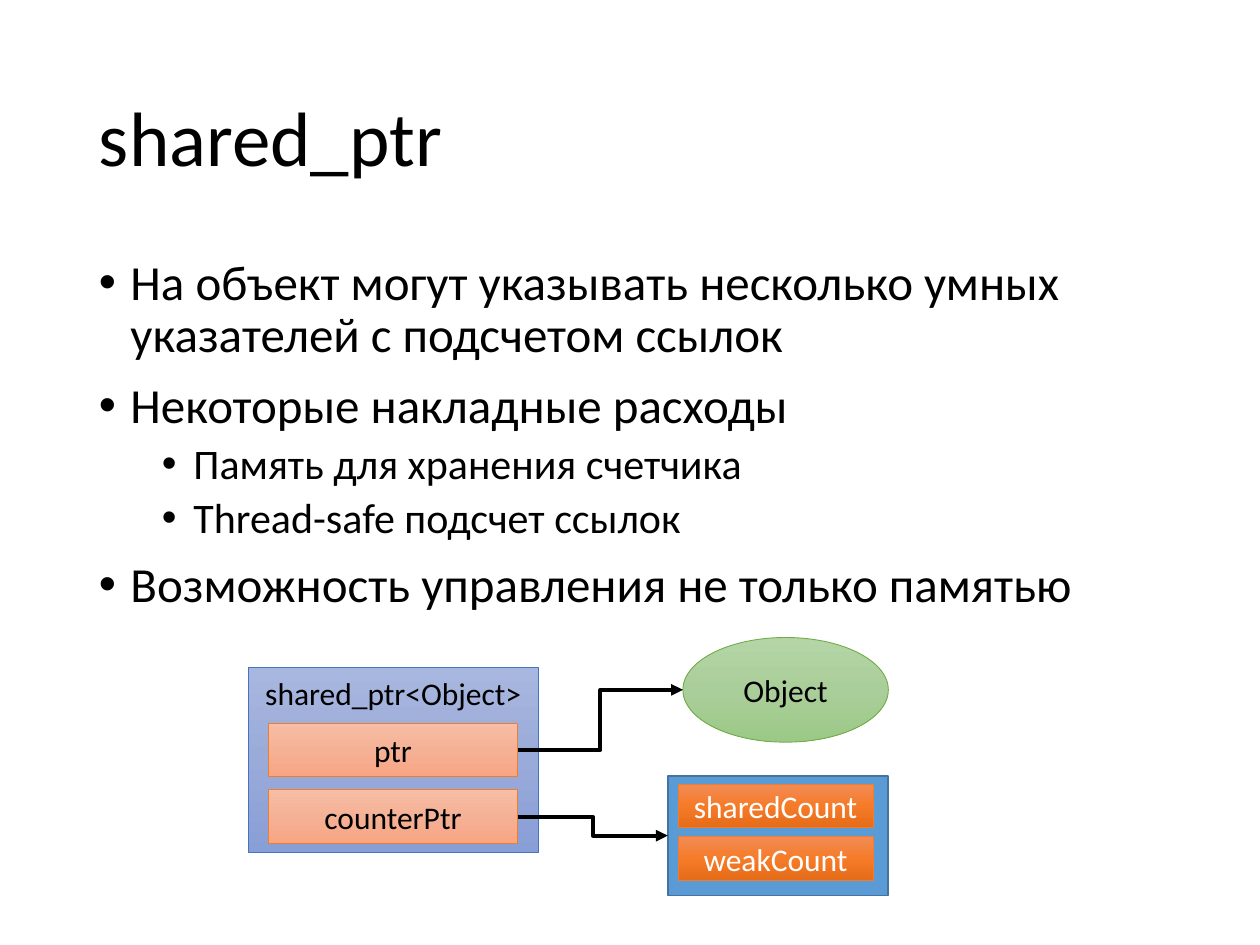
from copy import deepcopy
from pptx import Presentation
from pptx.dml.color import RGBColor
from pptx.enum.shapes import MSO_CONNECTOR, MSO_SHAPE
from pptx.enum.text import MSO_ANCHOR, PP_ALIGN
from pptx.oxml.ns import qn
from pptx.util import Pt
from lxml import etree

FONT = "Calibri"
COLORS = {
    "black": "000000", "white": "FFFFFF",
    "green": ["B5D5A7", "AACE9A", "9CC987"], "green_line": "70AD47",
    "indigo": ["A8B7DF", "9AABD9", "889ED7"], "indigo_line": "4472C4",
    "peach": ["F7BDA5", "F5B196", "F8A582"],
    "orange": ["F18C57", "F67B28", "E56C19"], "orange_line": "ED7D31",
    "blue": ["5B9BD5"], "blue_line": "43739E",
}


def add_run(p, text, size, color="black"):
    r = p.add_run()
    r.text = text
    r.font.name = FONT
    r.font.size = Pt(size)
    r.font.color.rgb = RGBColor.from_string(COLORS[color])


def add_box(shape, box, fill, line, text="", color="black", anchor=MSO_ANCHOR.MIDDLE, width=0.5):
    s = prs.slides[0].shapes.add_shape(shape, *[Pt(v) for v in box])
    s.shadow.inherit = False
    stops = COLORS[fill]
    if len(stops) == 1:
        s.fill.solid()
        s.fill.fore_color.rgb = RGBColor.from_string(stops[0])
    else:
        s.fill.gradient()
        s.fill.gradient_angle = 270
        # A third stop in the middle of the gradient
        gs_list = s._element.spPr.find(qn("a:gradFill")).find(qn("a:gsLst"))
        gs_list.insert(1, deepcopy(gs_list[0]))
        for i, stop in enumerate(s.fill.gradient_stops):
            stop.position = i / 2
            stop.color.rgb = RGBColor.from_string(stops[i])
    s.line.color.rgb = RGBColor.from_string(COLORS[line])
    s.line.width = Pt(width)
    tf = s.text_frame
    tf.vertical_anchor = anchor
    if text:
        p = tf.paragraphs[0]
        p.alignment = PP_ALIGN.CENTER
        add_run(p, text, 18, color)
    return s


prs = Presentation()
prs.slide_width, prs.slide_height = Pt(720), Pt(540)
slide = prs.slides.add_slide(prs.slide_layouts[6])

# Title
tf = slide.shapes.add_textbox(Pt(49.5), Pt(28.75), Pt(621), Pt(104.4)).text_frame
tf.word_wrap = True
tf.vertical_anchor = MSO_ANCHOR.MIDDLE
p = tf.paragraphs[0]
p.line_spacing = 0.9
add_run(p, "shared_ptr", 44)

# Bullet list: level and text
bullets = [
    (0, "На объект могут указывать несколько умных указателей с подсчетом ссылок"),
    (0, "Некоторые накладные расходы"),
    (1, "Память для хранения счетчика"),
    (1, "Thread-safe подсчет ссылок"),
    (0, "Возможность управления не только памятью"),
]
tf = slide.shapes.add_textbox(Pt(49.5), Pt(143.75), Pt(621), Pt(342.6)).text_frame
tf.word_wrap = True
for i, (level, text) in enumerate(bullets):
    p = tf.add_paragraph() if i else tf.paragraphs[0]
    p.level = level
    p.line_spacing = 0.9
    p.space_before = Pt((10, 5)[level] if i else 0)
    pPr = p._p.get_or_add_pPr()
    pPr.set("marL", str(Pt(18 + 36 * level)))
    pPr.set("indent", str(-Pt(18)))
    etree.SubElement(pPr, qn("a:buFont")).set("typeface", "Arial")
    etree.SubElement(pPr, qn("a:buChar")).set("char", "•")
    add_run(p, text, (28, 24)[level])

# Pointed-to object
add_box(MSO_SHAPE.OVAL, (390.25, 364.3, 117.4, 59.8), "green", "green_line", "Object")

# Smart pointer with its two fields
add_box(MSO_SHAPE.RECTANGLE, (141.85, 381.4, 165.8, 105.8), "indigo", "indigo_line",
        "shared_ptr<Object>", anchor=MSO_ANCHOR.TOP)
ptr, counter_ptr = [
    add_box(MSO_SHAPE.RECTANGLE, (153.2, 413.4 + 38 * i, 142.8, 30.6), "peach", "orange_line", text)
    for i, text in enumerate(["ptr", "counterPtr"])
]

# Control block with its two counters
block = add_box(MSO_SHAPE.RECTANGLE, (381.6, 443.3, 126, 68.4), "blue", "blue_line", width=1)
for i, text in enumerate(["sharedCount", "weakCount"]):
    add_box(MSO_SHAPE.RECTANGLE, (387.4, 448 + 30.2 * i, 111.6, 24.8), "orange", "orange_line",
            text, "white")

# Arrows from the fields to what they point at
for field, target in [(ptr, None), (counter_ptr, block)]:
    s = slide.shapes.add_connector(MSO_CONNECTOR.ELBOW, Pt(296), Pt(428.7), Pt(390.25), Pt(394.2))
    s.begin_connect(field, 3)
    if target:
        s.end_connect(target, 1)
    s.line.color.rgb = RGBColor.from_string(COLORS["black"])
    s.line.width = Pt(2.25)
    etree.SubElement(s.line._get_or_add_ln(), qn("a:tailEnd")).set("type", "triangle")
    etree.SubElement(s._element.spPr, qn("a:effectLst"))

prs.save("out.pptx")
